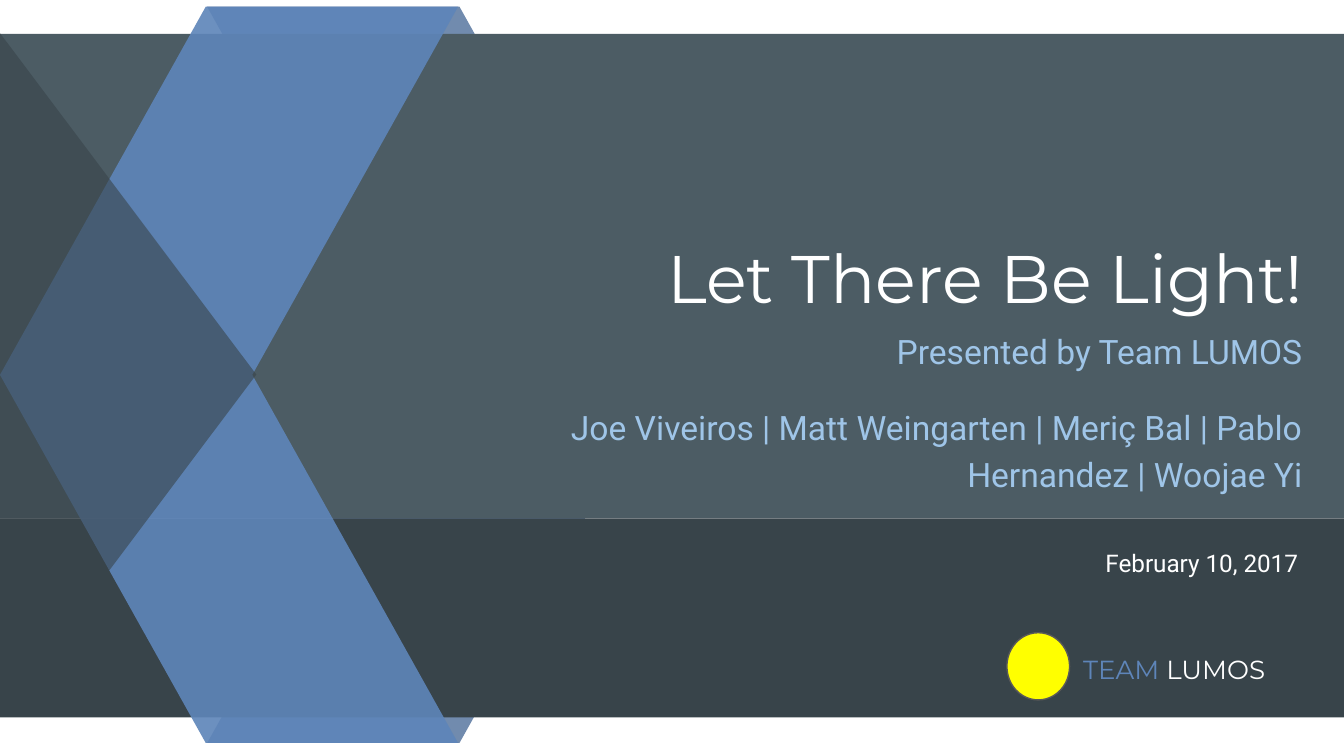
from dataclasses import dataclass

from lxml import etree
from pptx import Presentation
from pptx.dml.color import RGBColor
from pptx.enum.shapes import MSO_SHAPE
from pptx.enum.text import MSO_ANCHOR, MSO_AUTO_SIZE, PP_ALIGN
from pptx.oxml.ns import qn
from pptx.util import Pt

BAND = MSO_SHAPE.PARALLELOGRAM
RECT = MSO_SHAPE.RECTANGLE
WEDGE = MSO_SHAPE.ISOSCELES_TRIANGLE
OVAL = MSO_SHAPE.OVAL
LEFT = PP_ALIGN.LEFT
RIGHT = PP_ALIGN.RIGHT
TOP = MSO_ANCHOR.TOP
FIXED = MSO_AUTO_SIZE.NONE


@dataclass(frozen=True)
class Theme:
    white: str = "FFFFFF"
    slate: str = "4C5C64"
    dark: str = "38444A"
    blue: str = "5E85B9"
    navy: str = "4E6E9A"
    sky: str = "9FC5E8"
    lamp: str = "FFFF00"
    edge: str = "595959"
    head: str = "Montserrat"
    body: str = "Roboto"
    title: int = 36
    lead: int = 18
    label: int = 14
    date: int = 13


def write(frame, lines, font, size, align=RIGHT, space=1, after=0):
    frame.word_wrap = True
    frame.auto_size = FIXED
    frame.vertical_anchor = TOP
    frame.margin_left = frame.margin_right = Pt(7.2)
    frame.margin_top = frame.margin_bottom = Pt(7.2)
    for i, runs in enumerate(lines):
        para = frame.add_paragraph() if i else frame.paragraphs[0]
        para.alignment = align
        para.line_spacing = space
        para.space_before = Pt(0)
        para.space_after = Pt(after)
        for text, color in runs:
            run = para.add_run()
            run.text = text
            run.font.name = font
            run.font.size = Pt(size)
            run.font.color.rgb = RGBColor.from_string(color)


class Cover:
    def __init__(self, deck, theme):
        self.theme = theme
        self.slide = deck.slides.add_slide(deck.slide_layouts[0])

    def shape(self, kind, box, color, alpha=None, flip=False, turn=0, adjust=None, line=None):
        item = self.slide.shapes.add_shape(kind, *map(Pt, box))
        item.shadow.inherit = False
        item.rotation = turn
        if adjust is not None:
            item.adjustments[0] = adjust
        item.fill.solid()
        item.fill.fore_color.rgb = RGBColor.from_string(color)
        if alpha is not None:
            tint = item.fill._xPr.find(".//" + qn("a:srgbClr"))
            etree.SubElement(tint, qn("a:alpha"), val=str(alpha * 1000))
        if flip:
            item.element.spPr.find(qn("a:xfrm")).set("flipH", "1")
        if line:
            item.line.color.rgb = RGBColor.from_string(line)
            item.line.width = Pt(0.75)
        else:
            item.line.fill.background()

    def holder(self, index, box, lines, **style):
        item = self.slide.placeholders[index]
        item.left, item.top, item.width, item.height = map(Pt, box)
        item.element.getparent().append(item.element)
        write(item.text_frame, lines, **style)

    def text(self, box, lines, **style):
        item = self.slide.shapes.add_textbox(*map(Pt, box))
        write(item.text_frame, lines, **style)

    def ribbon(self, left, color, alpha, flips):
        wide, high, top = 245.4, 197.2, 3.6
        for row, flip in enumerate(flips):
            box = (left, top + row * high, wide, high)
            self.shape(BAND, box, color, alpha=alpha, flip=flip, adjust=0.559)


def main():
    deck = Presentation()
    deck.slide_width, deck.slide_height = Pt(720), Pt(405)
    theme = Theme()
    cover = Cover(deck, theme)

    cover.ribbon(111, theme.navy, 80, (True, False))
    cover.shape(RECT, (-0.5, 18.2, 720.5, 259.4), theme.slate)
    cover.shape(RECT, (-0.5, 277.7, 720.5, 106.6), theme.dark)
    cover.ribbon(0, theme.blue, 91, (False, True))
    cover.shape(WEDGE, (-114.4, 132, 366, 137.4), theme.dark, alpha=60, turn=90)

    cover.holder(0, (199.4, 119.6, 506.2, 63.4), [[("Let There Be Light!", theme.white)]],
                 font=theme.head, size=theme.title)
    names = "Joe Viveiros | Matt Weingarten | Meriç Bal | Pablo Hernandez | Woojae Yi"
    cover.holder(1, (294.5, 167, 410.5, 100.8),
                 [[("Presented by Team LUMOS", theme.sky)], [(names, theme.sky)]],
                 font=theme.body, size=theme.lead, space=1.15, after=16)
    cover.text((507.6, 284.4, 198, 32.4), [[("February 10, 2017 ", theme.white)]],
               font=theme.body, size=theme.date, space=1.15, after=16)
    cover.text((573.1, 342.7, 126, 32.4), [[("TEAM", theme.blue), (" LUMOS", theme.white)]],
               font=theme.head, size=theme.label, align=LEFT)
    cover.shape(OVAL, (539.4, 339, 33.6, 36), theme.lamp, line=theme.edge)

    deck.save("out.pptx")


if __name__ == "__main__":
    main()
